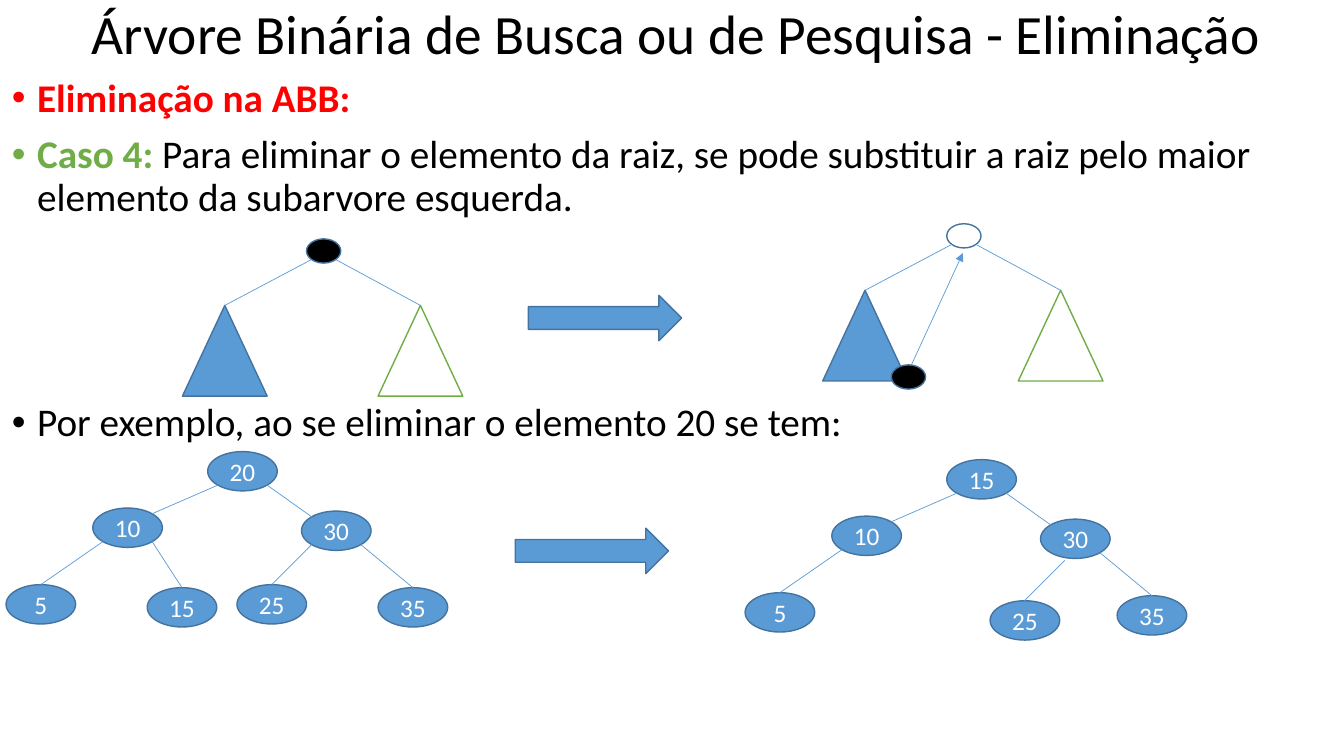
from lxml import etree
from pptx import Presentation
from pptx.dml.color import RGBColor
from pptx.enum import shapes, text
from pptx.oxml import ns
from pptx.util import Inches, Pt

COLOURS = {"black": "000000", "white": "FFFFFF", "red": "FF0000",
           "green": "70AD47", "blue": "5B9BD5", "outline": "43739E"}
FONT = "Calibri"
NODE_W, NODE_H = 0.69, 0.39
ROOT_W, ROOT_H = 0.34, 0.24
TRIANGLE_W, TRIANGLE_H = 0.84, 0.9
DIAGONAL = 0.7071
NODE_OFFSETS = {"10": (-1.14, 0.56), "30": (0.93, 0.59), "5": (-2, 1.32),
                "15": (-0.6, 1.35), "25": (0.29, 1.32), "35": (1.69, 1.35)}
PARENTS = {"5": "10", "15": "10", "25": "30", "35": "30"}


def colour(name):
    """Return the named colour."""
    return RGBColor.from_string(COLOURS[name])


def add_run(paragraph, words, size, ink="black", bold=False):
    """Append one formatted run."""
    run = paragraph.add_run()
    run.text = words
    run.font.name = FONT
    run.font.size = Pt(size)
    run.font.bold = bold
    run.font.color.rgb = colour(ink)


def add_frame(slide, left, top, width, height):
    """Add a wrapping text box and return its text frame."""
    frame = slide.shapes.add_textbox(*map(Inches, (left, top, width, height))).text_frame
    frame.word_wrap = True
    return frame


def add_title(slide, words):
    """Add the slide heading."""
    frame = add_frame(slide, 0.81, 0, 12.11, 0.73)
    frame.vertical_anchor = text.MSO_ANCHOR.MIDDLE
    frame.paragraphs[0].line_spacing = 0.9
    add_run(frame.paragraphs[0], words, 39.6)


def add_bullets(slide, top, height, items):
    """Add a bulleted list whose items are lists of runs."""
    frame = add_frame(slide, 0.02, top, 13.17, height)
    for index, runs in enumerate(items):
        paragraph = frame.add_paragraph() if index else frame.paragraphs[0]
        paragraph.line_spacing = 0.9
        paragraph.space_before = Pt(10 if index else 0)
        properties = paragraph._p.get_or_add_pPr()
        properties.set("marL", str(Inches(0.25)))
        properties.set("indent", str(Inches(-0.25)))
        etree.SubElement(properties, ns.qn("a:buFont"), typeface="Arial")
        etree.SubElement(properties, ns.qn("a:buChar"), char="•")
        for words, ink, bold in runs:
            add_run(paragraph, words, 28, ink, bold)


def add_figure(slide, kind, left, top, width, height, fill="blue", line="outline"):
    """Add a filled and outlined preset shape."""
    figure = slide.shapes.add_shape(kind, *map(Inches, (left, top, width, height)))
    figure.shadow.inherit = False
    figure.fill.solid()
    figure.fill.fore_color.rgb = colour(fill)
    figure.line.color.rgb = colour(line)
    figure.line.width = Pt(1)
    return figure


def add_edge(slide, start, end, arrow=False):
    """Join two points with a thin line."""
    edge = slide.shapes.add_connector(shapes.MSO_CONNECTOR.STRAIGHT,
                                      *map(Inches, (*start, *end)))
    edge.line.color.rgb = colour("blue")
    edge.line.width = Pt(0.5)
    if arrow:
        etree.SubElement(edge.line._get_or_add_ln(), ns.qn("a:tailEnd"), type="triangle")
    etree.SubElement(edge._element.spPr, ns.qn("a:effectLst"))


def corner(left, top, width, height, across, down):
    """Return the diagonal point of an ellipse on the given side."""
    return (left + width / 2 * (1 + across * DIAGONAL),
            top + height / 2 * (1 + down * DIAGONAL))


def add_step_arrow(slide, left, top):
    """Add the block arrow between before and after."""
    add_figure(slide, shapes.MSO_SHAPE.RIGHT_ARROW, left, top, 1.52, 0.45)


def add_dot(slide, left, top, fill):
    """Add a small unlabelled node."""
    add_figure(slide, shapes.MSO_SHAPE.OVAL, left, top, ROOT_W, ROOT_H, fill)


def add_subtrees(slide, left, top, fill):
    """Add a root with a triangle for each subtree."""
    add_dot(slide, left, top, fill)
    for side, offset, inside, line in ((-1, -1.23, "blue", "outline"),
                                       (1, 0.71, "white", "green")):
        x, y = left + offset, top + 0.66
        add_figure(slide, shapes.MSO_SHAPE.ISOSCELES_TRIANGLE, x, y,
                   TRIANGLE_W, TRIANGLE_H, inside, line)
        add_edge(slide, (x + TRIANGLE_W / 2, y),
                 corner(left, top, ROOT_W, ROOT_H, side, 1))


def add_node(slide, left, top, value):
    """Add a numbered node."""
    node = add_figure(slide, shapes.MSO_SHAPE.OVAL, left, top, NODE_W, NODE_H)
    frame = node.text_frame
    frame.vertical_anchor = text.MSO_ANCHOR.MIDDLE
    frame.paragraphs[0].alignment = text.PP_ALIGN.CENTER
    add_run(frame.paragraphs[0], value, 18, "white")


def add_tree(slide, left, top, root, offsets, loose=()):
    """Add a numbered search tree; loose leaves get no edge."""
    places = {key: (left + x, top + y) for key, (x, y) in offsets.items()}
    add_node(slide, left, top, root)
    for value, place in places.items():
        add_node(slide, *place, value)
    for value, (x, y) in places.items():
        if value in loose:
            continue
        parent = places[PARENTS[value]] if value in PARENTS else (left, top)
        side = 1 if x > parent[0] else -1
        start = ((x + NODE_W / 2, y) if value in PARENTS
                 else corner(x, y, NODE_W, NODE_H, -side, -1))
        add_edge(slide, start, corner(*parent, NODE_W, NODE_H, side, 1))


def main():
    """Build and save the slide."""
    deck = Presentation()
    deck.slide_width, deck.slide_height = Inches(13.33), Inches(7.5)
    slide = deck.slides.add_slide(deck.slide_layouts[6])

    add_title(slide, "Árvore Binária de Busca ou de Pesquisa - Eliminação")
    add_bullets(slide, 0.73, 1.5, [
        [("Eliminação na ABB:", "red", True)],
        [("Caso 4:", "green", True),
         (" Para eliminar o elemento da raiz, se pode substituir a raiz pelo maior "
          "elemento da subarvore esquerda.", "black", False)]])
    add_bullets(slide, 3.95, 0.53, [
        [("Por exemplo, ao se eliminar o elemento 20 se tem:", "black", False)]])

    add_subtrees(slide, 3.04, 2.37, "black")
    add_step_arrow(slide, 5.24, 2.93)
    add_subtrees(slide, 9.39, 2.22, "white")
    add_edge(slide, (9.04, 3.62), (9.55, 2.51), arrow=True)
    add_dot(slide, 8.84, 3.62, "black")

    add_tree(slide, 2.06, 4.48, "20", NODE_OFFSETS)
    add_step_arrow(slide, 5.11, 5.24)
    remaining = {key: place for key, place in NODE_OFFSETS.items() if key != "15"}
    remaining["25"] = (0.43, 1.4)
    add_tree(slide, 9.39, 4.56, "15", remaining, loose=("25",))
    add_edge(slide, (10.16, 5.96), (10.56, 5.56))

    deck.save("out.pptx")


if __name__ == "__main__":
    main()
